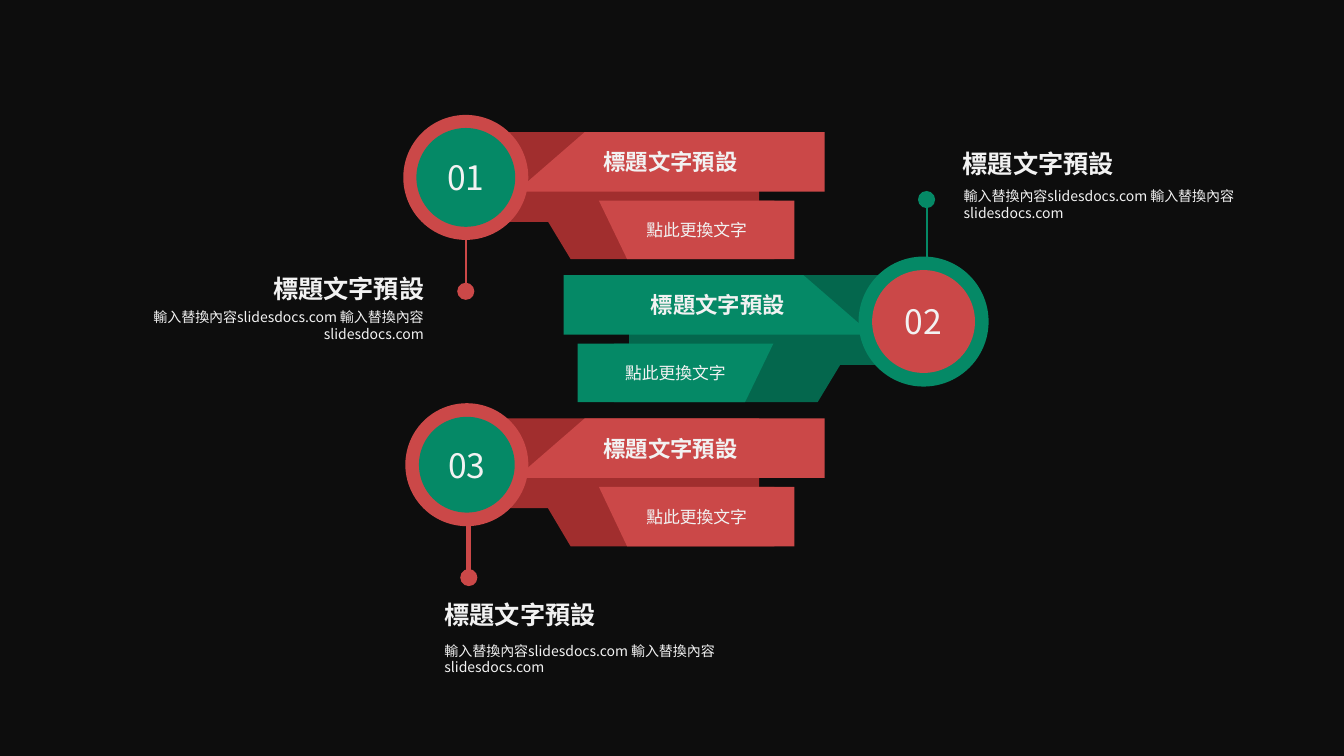
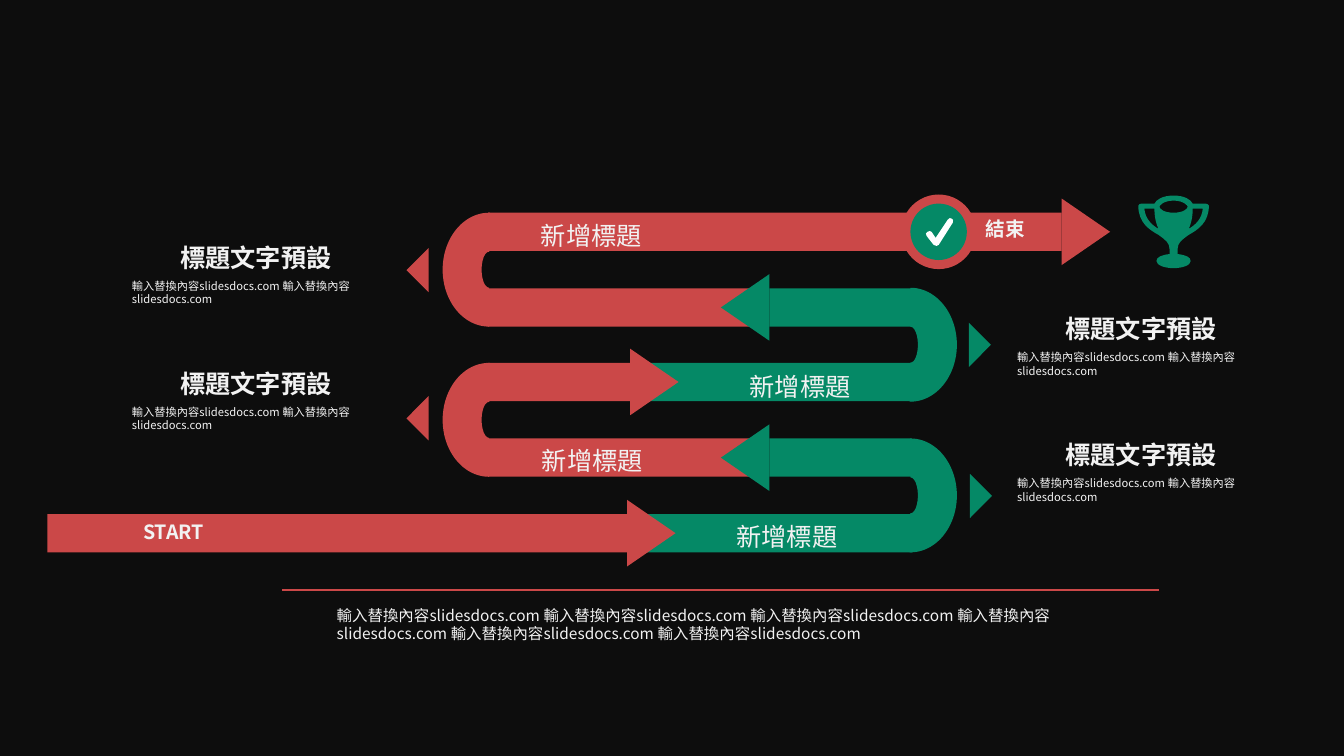
import pptx
import pptx.util
import pptx.dml.color
import pptx.oxml.ns
import pptx.enum.shapes
import pptx.enum.text
from lxml import etree

SCALE = 9144  # EMU in one px, 100 px to the inch
WIDTH, HEIGHT = 1333, 750
FONT = "Noto Sans CJK SC"
COLORS = {
    "back": "0D0D0D", "text": "F2F2F2", "white": "FFFFFF",
    "red": "CB4848", "dark_red": "A12E2E",
    "green": "058966", "dark_green": "04674D",
}
SHAPE = pptx.enum.shapes.MSO_SHAPE
ALIGN = pptx.enum.text.PP_ALIGN
ANCHOR = pptx.enum.text.MSO_ANCHOR
qn = pptx.oxml.ns.qn

HEADING = "標題文字預設"
SAMPLE = "輸入替換內容slidesdocs.com"
BODY = " ".join([SAMPLE] * 2)


def px(n):
    return pptx.util.Emu(round(n * SCALE))


def rgb(name):
    return pptx.dml.color.RGBColor.from_string(COLORS[name])


# Basic elements

def paint(sp, color):
    sp.shadow.inherit = False
    sp.fill.solid()
    sp.fill.fore_color.rgb = rgb(color)
    sp.line.fill.background()
    return sp


def set_text(sp, text, size, bold=False, align=ALIGN.LEFT, anchor=ANCHOR.TOP,
             wrap=True):
    tf = sp.text_frame
    tf.word_wrap = wrap
    tf.vertical_anchor = anchor
    p = tf.paragraphs[0]
    p.text = text
    p.alignment = align
    for r in p.runs:
        r.font.size = pptx.util.Pt(size)
        r.font.bold = bold
        r.font.color.rgb = rgb("text")
        r.font.name = FONT
        ea = etree.SubElement(r.font._element, qn("a:ea"))
        ea.set("typeface", FONT)


def add_label(slide, x, y, w, h, text, size, **style):
    sp = slide.shapes.add_textbox(px(x), px(y), px(w), px(h))
    set_text(sp, text, size, **style)
    return sp


def add_centered(slide, kind, cx, cy, w, h, color, rotation=0):
    sp = slide.shapes.add_shape(kind, px(cx - w / 2), px(cy - h / 2), px(w), px(h))
    sp.rotation = rotation
    return paint(sp, color)


def add_disc(slide, cx, cy, d, color):
    return add_centered(slide, SHAPE.OVAL, cx, cy, d, d, color)


def add_line(slide, x1, y1, x2, y2, color, width):
    line = slide.shapes.add_connector(
        pptx.enum.shapes.MSO_CONNECTOR.STRAIGHT, px(x1), px(y1), px(x2), px(y2))
    line.line.color.rgb = rgb(color)
    line.line.width = pptx.util.Pt(width)
    etree.SubElement(line._element.spPr, qn("a:effectLst"))


# Outlines: a contour is its points and, per step, 1 (line) or 3 (Bezier) of them

def contour(start, *steps):
    points = [start]
    for step in steps:
        points += zip(step[::2], step[1::2])
    return points, [len(step) // 2 for step in steps]


def mirror(shape, axis):
    points, sizes = shape
    return [(2 * axis - x, y) for x, y in points], sizes


def symmetric(half, axis):
    points, sizes = half
    other, _ = mirror(half, axis)
    return points + other[-2::-1], sizes + sizes[::-1]


def add_outline(slide, contours, color):
    """Draw closed contours as one shape; inner contours become holes."""
    start = contours[0][0][0]
    fb = slide.shapes.build_freeform(*map(px, start), scale=1.0)
    for i, (points, _) in enumerate(contours):
        scaled = [(px(x), px(y)) for x, y in points]
        if i:
            fb.move_to(*scaled[0])
        fb.add_line_segments(scaled[1:], close=True)
    sp = fb.convert_to_shape()
    lines = iter(list(sp._element.iter(qn("a:lnTo"))))
    for size in (n for _, sizes in contours for n in sizes):
        group = [next(lines) for _ in range(size)]
        if size == 3:
            group[0].tag = qn("a:cubicBezTo")
            for line in group[1:]:
                group[0].append(line[0])
                line.getparent().remove(line)
    return paint(sp, color)


def add_note(slide, heading_at, heading_w, body_at, body_w, size, align=ALIGN.LEFT):
    add_label(slide, *body_at, body_w, 61, BODY, size, align=align)
    add_label(slide, *heading_at, heading_w, 38, HEADING, 18, bold=True)


# Slide 1: numbered ribbons

def add_ribbon(slide, top, depth, color, flipped=False):
    def piece(points, tone, shift=0):
        points = [(x, top + y) for x, y in points]
        if flipped:
            points = [(1377 - x + shift, y) for x, y in points]
        return add_outline(slide, [contour(*points, points[0])], tone)

    dark = "dark_" + color
    piece([(753, 89), (448, 89), (499, 0), (753, 0)], dark)
    piece([(768, depth), (566, depth), (531, 68), (768, 68)], dark)
    sub = piece([(788, depth), (622, depth), (594, 68), (788, 68)], color, shift=-16)
    main_bar = piece([(818, 59), (512, 59), (580, 0), (818, 0)], color)
    middle = {"align": ALIGN.CENTER, "anchor": ANCHOR.MIDDLE}
    set_text(sub, "點此更換文字", 12, **middle)
    set_text(main_bar, HEADING, 16, bold=True, wrap=False, **middle)


def add_number(slide, number, center, ring_d, disc_d, color, pin, pin_width):
    cx, cy = center
    pin_x, pin_y = pin
    edge = cy + ring_d / 2 * (1 if pin_y > cy else -1)
    add_line(slide, pin_x, edge, pin_x, pin_y, color, pin_width)
    add_disc(slide, pin_x, pin_y, 17, color)
    add_disc(slide, cx, cy, ring_d, color)
    sp = add_disc(slide, cx, cy, disc_d, "red" if color == "green" else "green")
    set_text(sp, number, 24, align=ALIGN.CENTER, anchor=ANCHOR.MIDDLE)


def build_ribbons(slide):
    steps = [
        (126, "red", (462, 176), 124, 98, (462, 289), 1.5),
        (126, "green", (916, 319), 129, 102, (919, 198), 1.5),
        (127, "red", (463, 461), 122, 95, (465, 573), 3.5),
    ]
    for i, (depth, color, *number) in enumerate(steps):
        center, ring_d, disc_d, pin, pin_width = number
        add_ribbon(slide, 131 + 142 * i, depth, color, flipped=color == "green")
        add_number(slide, f"{i + 1:02}", center, ring_d, disc_d, color, pin, pin_width)
    add_note(slide, (261, 266), 179, (102, 301), 328, 10, ALIGN.RIGHT)
    add_note(slide, (945, 142), 179, (946, 181), 328, 10)
    add_note(slide, (431, 590), 179, (431, 632), 328, 10)


# Slide 2: winding road

ROWS = [round(211 + 74.75 * i) for i in range(5)]
BAR_H = 38
LEFT, RIGHT = 270, 90  # rotations of shapes that point up


def add_bar(slide, row, x1, x2, color):
    add_centered(slide, SHAPE.RECTANGLE, (x1 + x2) / 2, ROWS[row] + BAR_H / 2,
                 x2 - x1, BAR_H, color)


def add_bend(slide, row, color, facing):
    cx = 485 if facing == LEFT else 903
    cy = (ROWS[row] + ROWS[row + 1] + BAR_H) / 2
    sp = add_centered(slide, SHAPE.BLOCK_ARC, cx, cy, 113, 92, color, facing)
    for i, value in enumerate((108, 0.56, 0.42)):
        sp.adjustments[i] = value


def add_head(slide, row, cx, color, facing):
    add_centered(slide, SHAPE.ISOSCELES_TRIANGLE, cx, ROWS[row] + BAR_H / 2,
                 66, 48, color, facing)


def add_trophy(slide):
    axis = 1164
    cup = contour((1164, 194), (1175, 194, 1181, 198, 1183, 202), (1196, 202),
                  (1197, 202, 1199, 203, 1199, 204), (1199, 221, 1188, 228, 1179, 233),
                  (1172, 238, 1168, 241, 1168, 247), (1168, 252),
                  (1176, 253, 1181, 255, 1181, 259), (1181, 263, 1173, 266, 1164, 266))
    rim = contour((1164, 199), (1174, 199, 1178, 204, 1178, 205),
                  (1178, 207, 1174, 211, 1164, 211))
    handle = contour((1179, 227), (1181, 223, 1183, 216, 1183, 207), (1193, 207),
                     (1192, 217, 1186, 223, 1179, 227))
    add_outline(slide, [symmetric(cup, axis), handle, symmetric(rim, axis),
                        mirror(handle, axis)], "green")


def add_check_badge(slide):
    add_disc(slide, 931, 230, 74, "red")
    add_disc(slide, 931, 230, 56, "green")
    check = contour((929, 244), (928, 244, 927, 244, 926, 243), (919, 234),
                    (918, 232, 918, 231, 920, 230), (921, 229, 923, 229, 924, 230),
                    (928, 236), (940, 218), (941, 216, 943, 216, 944, 217),
                    (945, 217, 946, 219, 945, 221), (931, 243),
                    (930, 244, 930, 244, 929, 244))
    add_outline(slide, [check], "white")


def build_road(slide):
    # Summary
    add_line(slide, 280, 585, 1150, 585, "red", 1.5)
    sp = add_label(slide, 327, 597, 786, 65, " ".join([SAMPLE] * 6), 11)
    tf = sp.text_frame
    tf.margin_left = tf.margin_right = px(7)
    tf.margin_top = tf.margin_bottom = px(4)

    # Road: bars, bends, arrowheads
    for bar in [(0, 484, 1053, "red"), (1, 484, 762, "red"), (1, 763, 904, "green"),
                (2, 484, 625, "red"), (2, 627, 905, "green"),
                (3, 484, 762, "red"), (3, 763, 904, "green"),
                (4, 47, 622, "red"), (4, 627, 905, "green")]:
        add_bar(slide, *bar)
    for row in range(4):
        add_bend(slide, row, *(("green", RIGHT) if row % 2 else ("red", LEFT)))
    for row, cx in enumerate((1077, 739, 649, 739, 646)):
        add_head(slide, row, cx, *(("green", LEFT) if row % 2 else ("red", RIGHT)))

    # Road labels
    for x, y in [(526, 214), (720, 512), (733, 363), (527, 437)]:
        add_label(slide, x, y, 121, 40, "新增標題", 18, align=ALIGN.CENTER, wrap=False)
    add_label(slide, 132, 511, 81, 34, "START", 14, bold=True, wrap=False)
    add_label(slide, 968, 210, 59, 34, "結束", 14, bold=True, wrap=False)
    add_check_badge(slide)
    add_trophy(slide)

    # Side notes with pointers
    for x, y, pointer_x, pointer_y, color, turn in [
            (121, 272, 425, 268, "red", 45), (121, 397, 425, 415, "red", 45),
            (999, 343, 961, 342, "green", 225), (999, 468, 962, 492, "green", 225)]:
        add_centered(slide, SHAPE.RIGHT_TRIANGLE, pointer_x, pointer_y, 31, 31,
                     color, turn)
        add_note(slide, (x + 48, y - 37), 240, (x, y), 277, 8)


def add_backdrop(prs, slide):
    """Put one dark panel on the master, behind every slide."""
    panel = add_centered(slide, SHAPE.RECTANGLE, WIDTH / 2, HEIGHT / 2,
                         WIDTH, HEIGHT, "back")
    prs.slide_master.shapes._spTree.insert(2, panel._element)


def main():
    prs = pptx.Presentation()
    prs.slide_width, prs.slide_height = px(WIDTH), px(HEIGHT)
    slides = [prs.slides.add_slide(prs.slide_layouts[6]) for _ in range(2)]
    add_backdrop(prs, slides[0])
    build_ribbons(slides[0])
    build_road(slides[1])
    prs.save("out.pptx")


if __name__ == "__main__":
    main()
